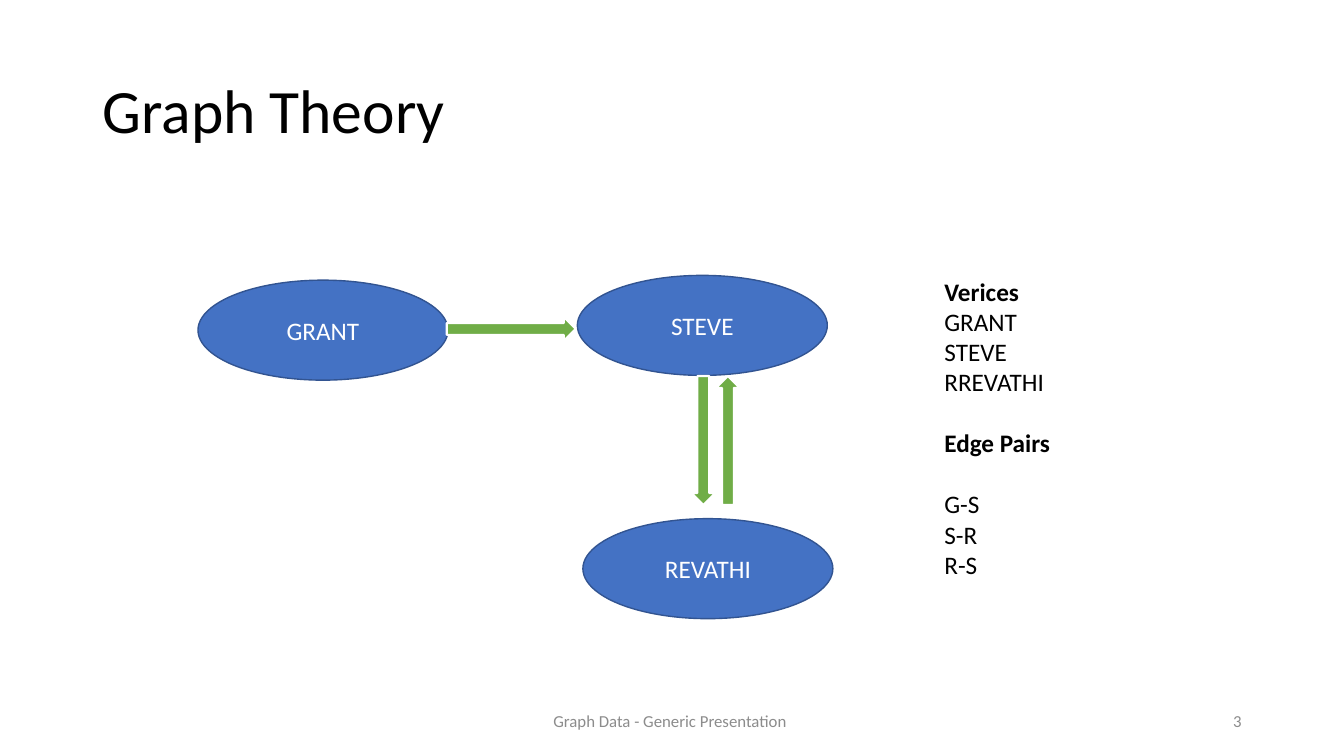
"""Build the Graph Theory slide: a three-node directed graph with its vertex and edge lists."""
from dataclasses import dataclass
from pptx import Presentation
from pptx.dml.color import RGBColor as Rgb
from pptx.enum.shapes import MSO_SHAPE as Kind
from pptx.enum.text import MSO_ANCHOR as Anchor, MSO_AUTO_SIZE as Fit, PP_ALIGN as Align
from pptx.util import Cm, Pt


@dataclass(frozen=True)
class Theme:
    font: str = "Calibri"
    black: str = "000000"
    white: str = "FFFFFF"
    grey: str = "8C8C8C"
    blue: str = "4472C4"
    navy: str = "325491"
    green: str = "70AD47"
    title: int = 44
    body: int = 18
    small: int = 12


theme = Theme()


def write(par, text, size, color, align=Align.LEFT, bold=False):
    par.text = text
    par.alignment = align
    par.font.color.rgb = Rgb.from_string(color)
    for name, value in {"name": theme.font, "size": Pt(size), "bold": bold}.items():
        setattr(par.font, name, value)


def draw(kind, box, fill, edge, width):
    shape = slide.shapes.add_shape(kind, *map(Cm, box))
    shape.shadow.inherit = False
    shape.fill.solid()
    shape.fill.fore_color.rgb = Rgb.from_string(fill)
    shape.line.color.rgb = Rgb.from_string(edge)
    shape.line.width = Pt(width)
    return shape


deck = Presentation()
deck.slide_width, deck.slide_height = Cm(33.87), Cm(19.05)
slide = deck.slides.add_slide(deck.slide_layouts[5])

title = slide.shapes.title
place = {"left": 2.33, "top": 1.01, "width": 29.21, "height": 3.68}
for name, value in place.items():
    setattr(title, name, Cm(value))
frame = title.text_frame
frame.auto_size = Fit.NONE
frame.vertical_anchor = Anchor.MIDDLE
write(frame.paragraphs[0], "Graph Theory", theme.title, theme.black)
frame.paragraphs[0].line_spacing = 0.9

footer = [
    ("Graph Data - Generic Presentation ", 11.22, 11.43, Align.CENTER),
    ("3", 23.92, 7.62, Align.RIGHT),
]
for text, left, width, align in footer:
    frame = slide.shapes.add_textbox(Cm(left), Cm(17.66), Cm(width), Cm(1.01)).text_frame
    frame.word_wrap = True
    frame.vertical_anchor = Anchor.MIDDLE
    write(frame.paragraphs[0], text, theme.small, theme.grey, align)

nodes = [("GRANT", 4.99, 7.06), ("STEVE", 14.55, 6.94), ("REVATHI", 14.69, 13.07)]
for text, left, top in nodes:
    node = draw(Kind.OVAL, (left, top, 6.3, 2.52), theme.blue, theme.navy, 1)
    node.text_frame.vertical_anchor = Anchor.MIDDLE
    write(node.text_frame.paragraphs[0], text, theme.body, theme.white, Align.CENTER)

edges = [(11.26, 7.99, 0), (16.1, 10.8, 90), (16.72, 10.8, 270)]
for left, top, turn in edges:
    arrow = draw(Kind.RIGHT_ARROW, (left, top, 3.25, 0.6), theme.green, theme.white, 1.5)
    arrow.rotation = turn

lists = [
    ("Verices", True, 0),
    ("GRANT", False, 0),
    ("STEVE", False, 0),
    ("RREVATHI", False, 0),
    ("Edge Pairs", True, 22),
    ("G-S", False, 22),
    ("S-R", False, 0),
    ("R-S", False, 0),
]
frame = slide.shapes.add_textbox(Cm(23.55), Cm(6.83), Cm(6.6), Cm(7.95)).text_frame
frame.word_wrap = True
for index, (text, bold, gap) in enumerate(lists):
    par = frame.add_paragraph() if index else frame.paragraphs[0]
    write(par, text, theme.body, theme.black, bold=bold)
    if gap:
        par.space_before = Pt(gap)

deck.save("out.pptx")
